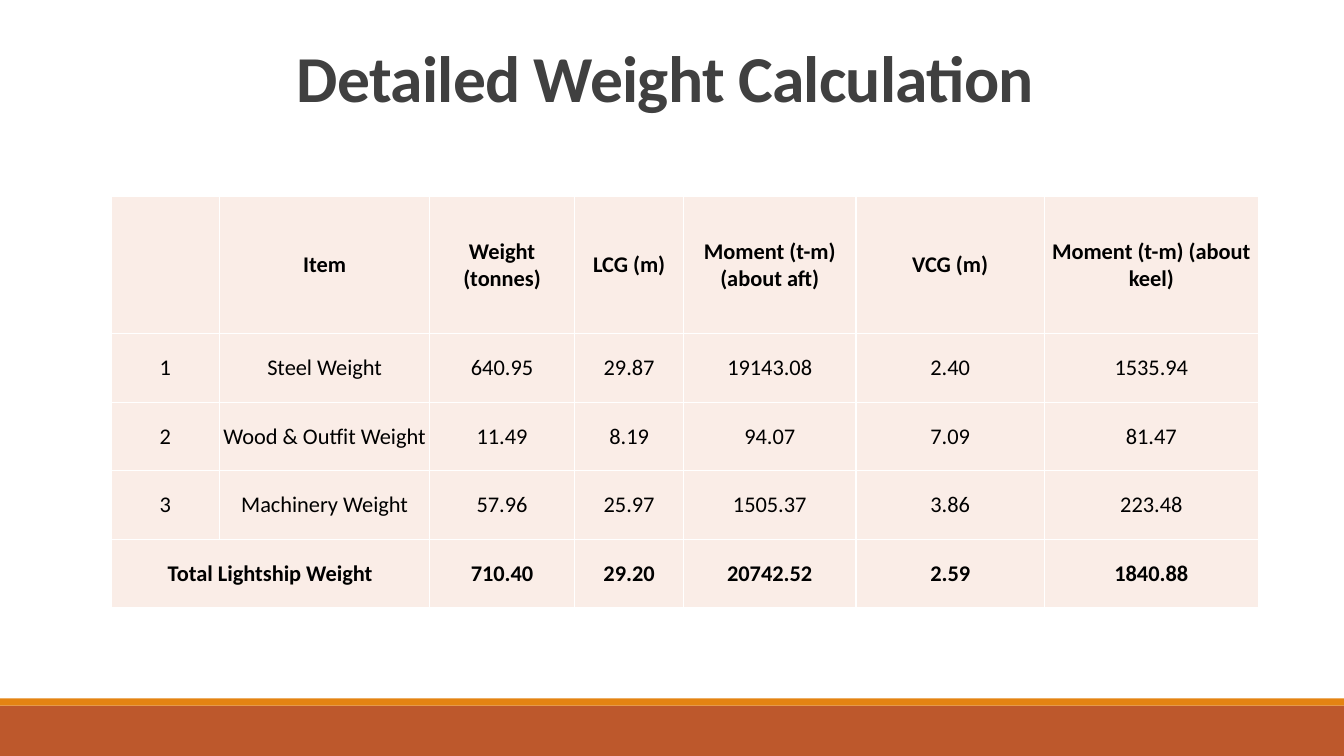
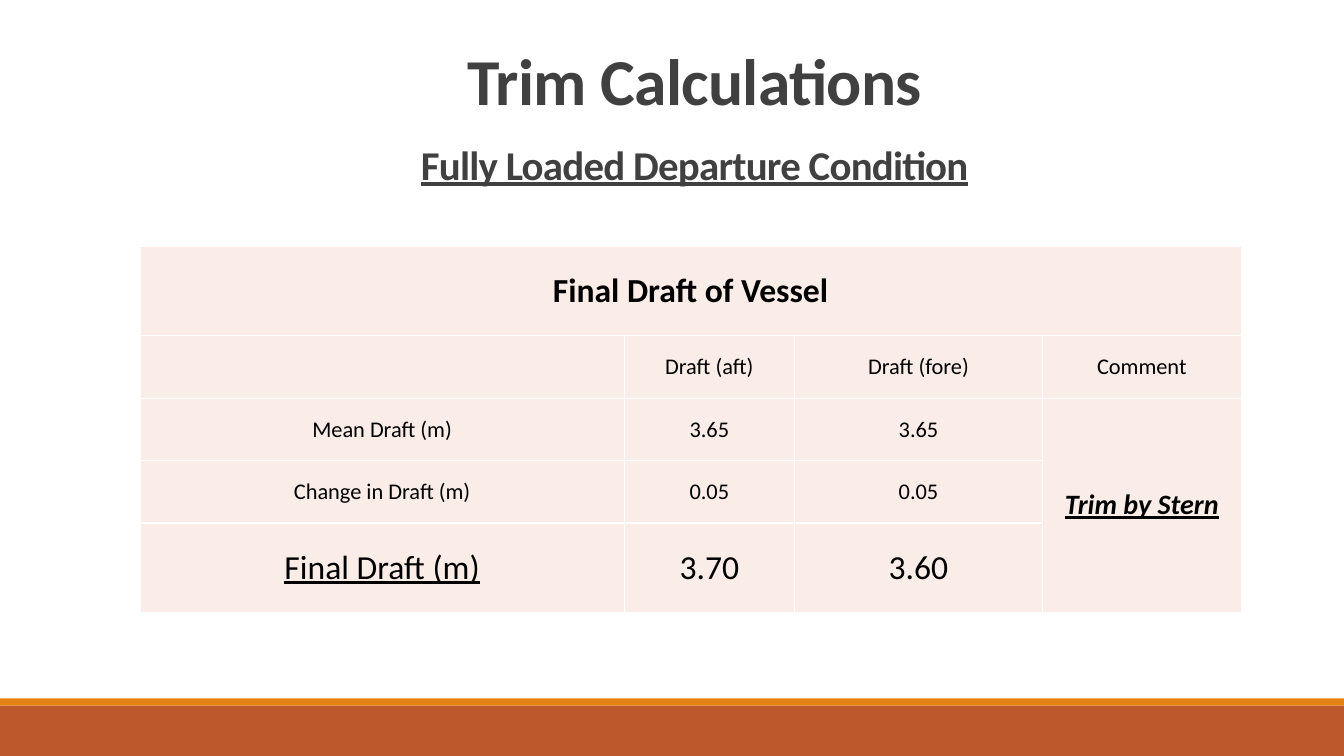
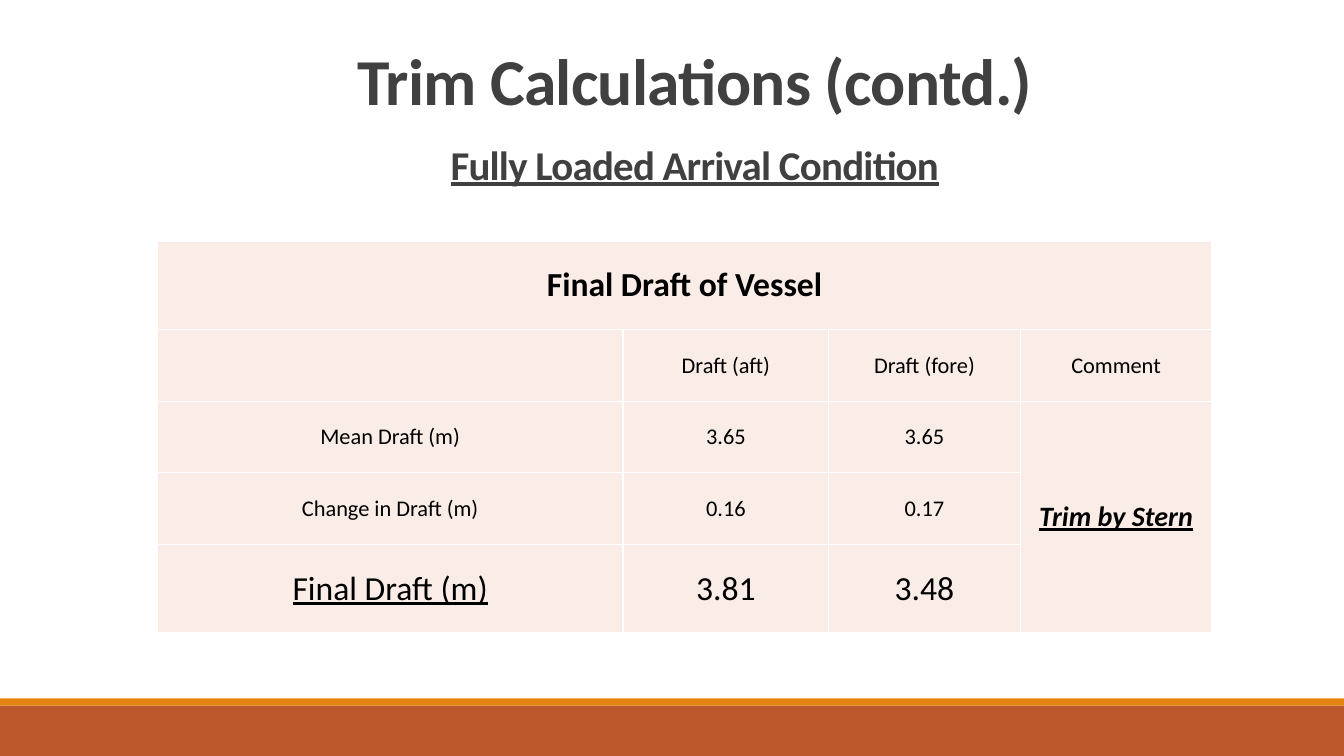
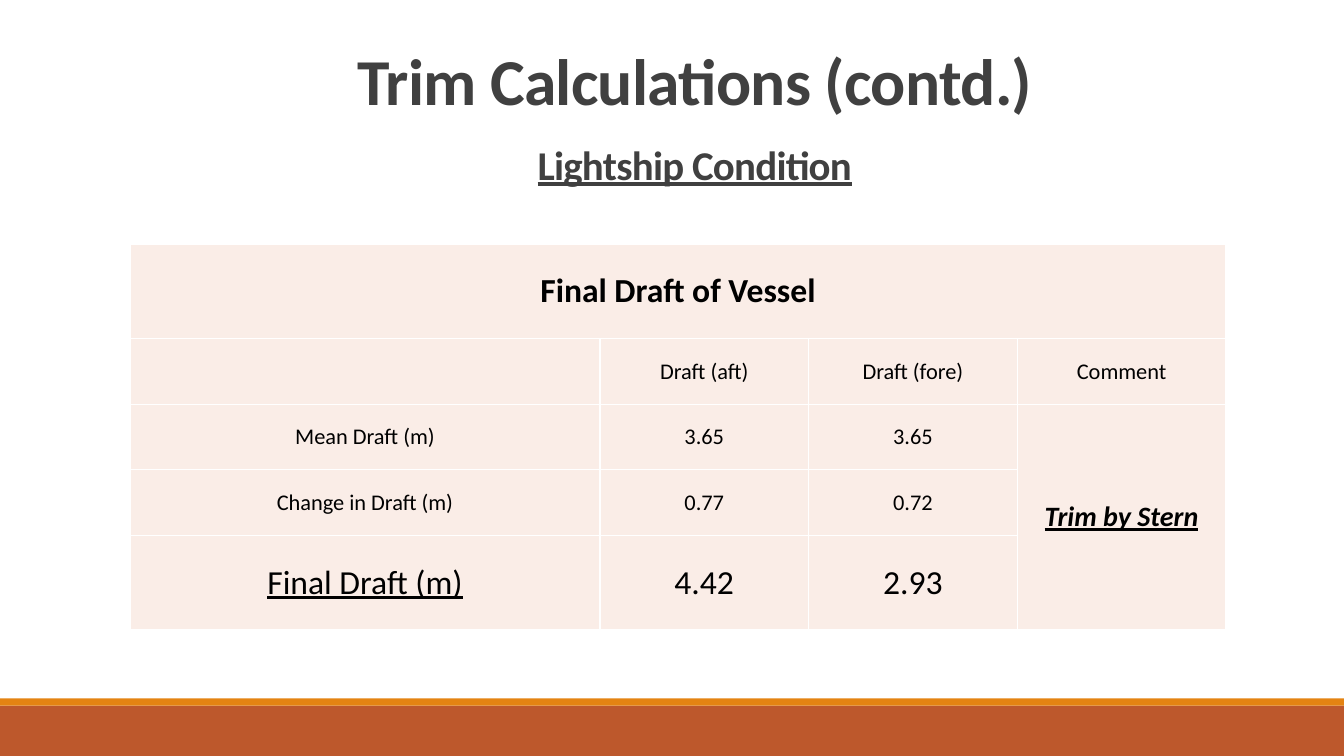
from lxml import etree
from pptx import Presentation
from pptx.dml.color import RGBColor
from pptx.enum.shapes import MSO_SHAPE
from pptx.enum.text import MSO_ANCHOR, PP_ALIGN
from pptx.oxml import parse_xml
from pptx.oxml.ns import nsdecls, qn
from pptx.util import Inches, Pt

RECTANGLE = MSO_SHAPE.RECTANGLE
MIDDLE = MSO_ANCHOR.MIDDLE
CENTER = PP_ALIGN.CENTER

BODY = {"size": 16}
BOLD = {"size": 16, "bold": True}
HEADING = {"size": 24, "bold": True}
RESULT = {"size": 24}
RESULT_LABEL = {"size": 24, "underline": True}
VERDICT = {"size": 20, "bold": True, "italic": True, "underline": True}


def rgb(code):
    return RGBColor.from_string(code)


class Deck:
    """Holds the shared style and the slide being built."""

    FONT = "Calibri"
    TITLE_COLOR = "404040"
    TEXT_COLOR = "000000"
    CELL_FILL = "FAEDE7"
    BORDER = "FFFFFF"
    BANDS = ((7, 0.5, "BD582C"), (6.93, 0.07, "E48312"))
    WIDTH, HEIGHT = 13.33, 7.5

    def __init__(self):
        self.prs = Presentation()
        self.prs.slide_width = Inches(self.WIDTH)
        self.prs.slide_height = Inches(self.HEIGHT)
        self.slide = None

    def new_slide(self):
        self.slide = self.prs.slides.add_slide(self.prs.slide_layouts[6])
        for top, height, color in self.BANDS:
            band = self.slide.shapes.add_shape(
                RECTANGLE, 0, Inches(top), Inches(self.WIDTH), Inches(height))
            band.shadow.inherit = False
            band.fill.solid()
            band.fill.fore_color.rgb = rgb(color)
            band.line.fill.background()

    def style(self, paragraph, color, size, bold=False, italic=False, underline=False):
        paragraph.alignment = CENTER
        font = paragraph.font
        font.name = self.FONT
        font.size = Pt(size)
        font.bold = bold
        font.italic = italic
        font.underline = underline
        font.color.rgb = rgb(color)

    def title(self, text, left, top, size=46.8, underline=False):
        box = self.slide.shapes.add_textbox(
            Inches(left), Inches(top), Inches(11), Inches(1.59))
        box.text_frame.word_wrap = True
        paragraph = box.text_frame.paragraphs[0]
        run = paragraph.add_run()
        run.text = text
        run._r.get_or_add_rPr().set("spc", "-50")
        paragraph.line_spacing = 0.85
        self.style(paragraph, self.TITLE_COLOR, size, bold=True, underline=underline)

    def cell(self, cell, text, look):
        cell.margin_left = cell.margin_right = cell.margin_top = cell.margin_bottom = 0
        cell.vertical_anchor = MIDDLE
        properties = cell._tc.get_or_add_tcPr()
        for side in ("lnL", "lnR", "lnT", "lnB"):
            border = parse_xml(f'<a:{side} {nsdecls("a")} w="{Pt(1)}"/>')
            paint = etree.SubElement(border, qn("a:solidFill"))
            etree.SubElement(paint, qn("a:srgbClr"), val=self.BORDER)
            properties.append(border)
        cell.fill.solid()
        cell.fill.fore_color.rgb = rgb(self.CELL_FILL)
        cell.text = text
        self.style(cell.text_frame.paragraphs[0], self.TEXT_COLOR, **look)

    def table(self, left, top, widths, heights, rows, looks, merges):
        table = self.slide.shapes.add_table(
            len(heights), len(widths), Inches(left), Inches(top),
            Inches(sum(widths)), Inches(sum(heights))).table
        table.first_row = table.horz_banding = False
        for column, width in zip(table.columns, widths):
            column.width = Inches(width)
        for row, height in zip(table.rows, heights):
            row.height = Inches(height)
        for r, (texts, row_looks) in enumerate(zip(rows, looks)):
            for c, (text, look) in enumerate(zip(texts, row_looks)):
                self.cell(table.cell(r, c), text, look)
        for first, last in merges:
            table.cell(*first).merge(table.cell(*last))

    def trim_slide(self, title, condition, left, top, widths, heights, change, final):
        self.new_slide()
        self.title(title, 1.39, 0.47)
        self.title(condition, 1.39, 1.41, size=29.2, underline=True)
        rows = [
            ["Final Draft of Vessel", "", "", ""],
            ["", "Draft (aft)", "Draft (fore)", "Comment"],
            ["Mean Draft (m)", "3.65", "3.65", "Trim by Stern"],
            ["Change in Draft (m)", *change, ""],
            ["Final Draft (m)", *final, ""],
        ]
        looks = [
            [HEADING] * 4,
            [BODY] * 4,
            [BODY] * 3 + [VERDICT],
            [BODY] * 4,
            [RESULT_LABEL] + [RESULT] * 3,
        ]
        merges = [((0, 0), (0, 3)), ((2, 3), (4, 3))]
        self.table(left, top, widths, heights, rows, looks, merges)


def main():
    deck = Deck()

    deck.new_slide()
    deck.title("Detailed Weight Calculation", 1.1, 0.44)
    weights = [
        ["", "Item", "Weight (tonnes)", "LCG (m)", "Moment (t-m) (about aft)",
         "VCG (m)", "Moment (t-m) (about keel)"],
        ["1", "Steel Weight", "640.95", "29.87", "19143.08", "2.40", "1535.94"],
        ["2", "Wood & Outfit Weight", "11.49", "8.19", "94.07", "7.09", "81.47"],
        ["3", "Machinery Weight", "57.96", "25.97", "1505.37", "3.86", "223.48"],
        ["Total Lightship Weight", "", "710.40", "29.20", "20742.52", "2.59", "1840.88"],
    ]
    deck.table(1.1, 1.95, [1.08, 2.08, 1.44, 1.08, 1.71, 1.87, 2.12],
               [1.36] + [0.68] * 4, weights,
               [[BOLD] * 7] + [[BODY] * 7] * 3 + [[BOLD] * 7],
               [((4, 0), (4, 1))])

    deck.trim_slide("Trim Calculations", "Fully Loaded Departure Condition",
                    1.39, 2.44, [4.8, 1.69, 2.46, 1.97],
                    [0.89, 0.62, 0.62, 0.62, 0.89],
                    ["0.05", "0.05"], ["3.70", "3.60"])
    deck.trim_slide("Trim Calculations (contd.)", "Fully Loaded Arrival Condition",
                    1.56, 2.39, [4.62, 2.04, 1.9, 1.9],
                    [0.88, 0.71, 0.71, 0.71, 0.88],
                    ["0.16", "0.17"], ["3.81", "3.48"])
    deck.trim_slide("Trim Calculations (contd.)", "Lightship Condition",
                    1.29, 2.42, [4.66, 2.07, 2.07, 2.07],
                    [0.94, 0.65, 0.65, 0.65, 0.94],
                    ["0.77", "0.72"], ["4.42", "2.93"])

    deck.prs.save("out.pptx")


if __name__ == "__main__":
    main()
